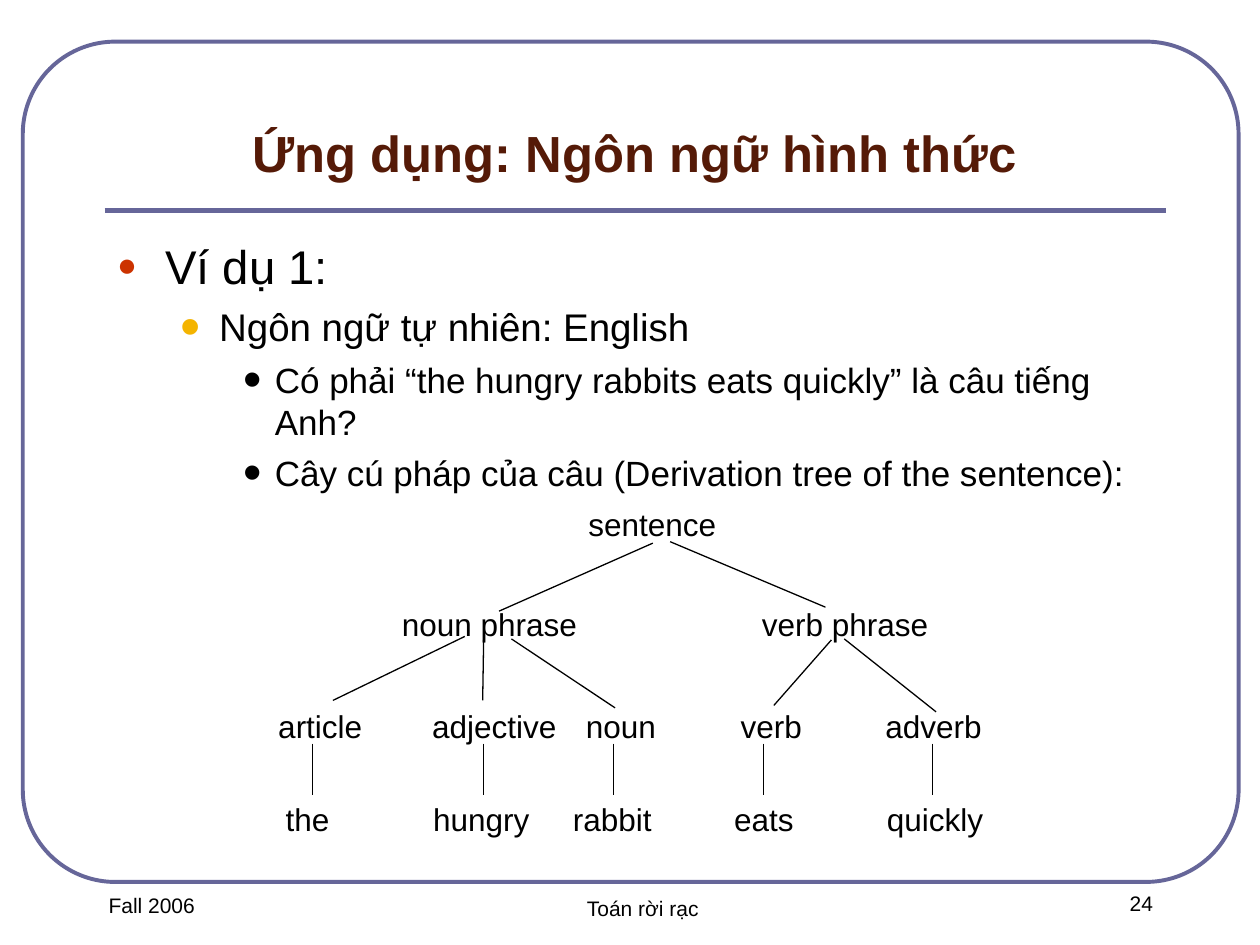
"""Build a slide that shows the derivation tree of an English sentence."""
from lxml import etree
from pptx import Presentation
from pptx.dml.color import RGBColor
from pptx.enum.shapes import MSO_CONNECTOR, MSO_SHAPE
from pptx.enum.text import MSO_ANCHOR, PP_ALIGN
from pptx.oxml.ns import qn
from pptx.util import Cm, Pt

LINE = MSO_CONNECTOR.STRAIGHT
ROUNDED = MSO_SHAPE.ROUNDED_RECTANGLE
TOP, BOTTOM = MSO_ANCHOR.TOP, MSO_ANCHOR.BOTTOM
LEFT, CENTER = PP_ALIGN.LEFT, PP_ALIGN.CENTER

BLACK = RGBColor(0x00, 0x00, 0x00)
SLATE = RGBColor(0x66, 0x66, 0x99)
BROWN = RGBColor(0x55, 0x1A, 0x07)
RED = RGBColor(0xCC, 0x33, 0x00)
AMBER = RGBColor(0xF4, 0xB4, 0x00)

TITLE_FONT = {"size": Pt(29), "bold": True}
FOOTER_FONT = {"size": Pt(12)}
LABEL_FONT = {"size": Pt(18)}

LEVELS = [
    {"size": 27, "before": 6.8, "margin": 0.97, "hang": 0.97,
     "char": "●", "color": RED, "percent": 70},
    {"size": 22, "before": 5.5, "margin": 2.06, "hang": 0.79,
     "char": "•", "color": AMBER, "percent": 150},
    {"size": 20, "before": 5, "margin": 3.18, "hang": 0.64,
     "char": "•", "color": BLACK, "percent": 150},
]
OUTLINE = [
    (0, "Ví dụ 1:"),
    (1, "Ngôn ngữ tự nhiên: English"),
    (2, "Có phải “the hungry rabbits eats quickly” là câu tiếng Anh?"),
    (2, "Cây cú pháp của câu (Derivation tree of the sentence):"),
]
FOOTERS = [
    ("Fall 2006", 0.2, 17.86, 5.72),
    ("Toán rời rạc", 6.65, 17.93, 12.62),
    ("24", 21.41, 17.83, 3.2),
]
TREE_ROWS = [
    (10.06, [("sentence", 11.61, 3.91)]),
    (12.07, [("noun phrase", 7.85, 4.29), ("verb phrase", 15.11, 4.29)]),
    (14.12, [("article", 5.36, 2.46), ("adjective", 8.46, 3.02),
             ("noun", 11.56, 2.18), ("verb", 14.68, 2.18),
             ("adverb", 17.6, 2.57)]),
    (16, [("the", 5.51, 2.46), ("hungry", 8.48, 2.46),
          ("rabbit", 11.3, 2.46), ("eats", 14.55, 2.46),
          ("quickly", 17.63, 2.46)]),
]
BRANCHES = [
    (13.16, 10.95, 10.06, 12.32),
    (13.51, 10.92, 16.64, 12.24),
    (9.37, 12.83, 6.71, 14.12),
    (9.75, 12.88, 9.73, 14.12),
    (10.31, 12.88, 12.4, 14.27),
    (16.76, 12.9, 15.6, 14.22),
    (17.02, 12.88, 18.87, 14.35),
]
STEMS = [6.3, 9.75, 12.37, 15.39, 18.8]


class Deck:
    """Hold the text style and the current slide."""

    def __init__(self, prs, font="Arial"):
        """Add a title-only slide to the presentation."""
        self.font = font
        self.slide = prs.slides.add_slide(prs.slide_layouts[5])

    def run(self, p, text, fmt, color=BLACK):
        """Add a formatted run to a paragraph."""
        r = p.add_run()
        r.text = text
        for name, value in {"name": self.font, **fmt}.items():
            setattr(r.font, name, value)
        r.font.color.rgb = color

    def frame(self, sp, anchor):
        """Set the wrap, insets and anchor of a shape's text."""
        tf = sp.text_frame
        fmt = {"word_wrap": True, "vertical_anchor": anchor,
               "margin_left": Cm(0.25), "margin_right": Cm(0.25),
               "margin_top": Cm(0.13), "margin_bottom": Cm(0.13)}
        for name, value in fmt.items():
            setattr(tf, name, value)
        return tf

    def title(self, text, x, y, w, h):
        """Place and fill the title placeholder."""
        sp = self.slide.shapes.title
        box = {"left": x, "top": y, "width": w, "height": h}
        for name, value in box.items():
            setattr(sp, name, Cm(value))
        p = self.frame(sp, BOTTOM).paragraphs[0]
        p.alignment = CENTER
        self.run(p, text, TITLE_FONT, BROWN)

    def textbox(self, x, y, w, h):
        """Add an empty text box and return its text frame."""
        sp = self.slide.shapes.add_textbox(Cm(x), Cm(y), Cm(w), Cm(h))
        return self.frame(sp, TOP)

    def label(self, text, x, y, w, h, fmt, align=LEFT):
        """Add a text box with one line of text."""
        p = self.textbox(x, y, w, h).paragraphs[0]
        p.alignment = align
        self.run(p, text, fmt)

    def bullet(self, p, style):
        """Give a paragraph a hanging bullet."""
        pPr = p._p.get_or_add_pPr()
        pPr.set("marL", str(Cm(style["margin"])))
        pPr.set("indent", str(-Cm(style["hang"])))
        color = etree.SubElement(pPr, qn("a:buClr"))
        etree.SubElement(color, qn("a:srgbClr"), val=str(style["color"]))
        percent = str(style["percent"] * 1000)
        etree.SubElement(pPr, qn("a:buSzPct"), val=percent)
        etree.SubElement(pPr, qn("a:buFont"), typeface=self.font)
        etree.SubElement(pPr, qn("a:buChar"), char=style["char"])

    def outline(self, items, x, y, w, h):
        """Add a bulleted list with levels."""
        tf = self.textbox(x, y, w, h)
        for i, (level, text) in enumerate(items):
            p = tf.add_paragraph() if i else tf.paragraphs[0]
            style = LEVELS[level]
            p.level = level
            self.bullet(p, style)
            p.space_before = Pt(style["before"] if i else 0)
            self.run(p, text, {"size": Pt(style["size"])})

    def border(self, x, y, w, h):
        """Add the rounded border of the slide."""
        sp = self.slide.shapes.add_shape(ROUNDED, Cm(x), Cm(y), Cm(w), Cm(h))
        sp.adjustments[0] = 0.11
        sp.shadow.inherit = False
        sp.fill.background()
        sp.line.color.rgb = SLATE
        sp.line.width = Pt(2.25)

    def line(self, x1, y1, x2, y2, color=BLACK, width=0.75):
        """Add a straight line."""
        ends = [Cm(v) for v in (x1, y1, x2, y2)]
        sp = self.slide.shapes.add_connector(LINE, *ends)
        sp.line.color.rgb = color
        sp.line.width = Pt(width)
        etree.SubElement(sp._element.spPr, qn("a:effectLst"))


def main():
    """Build and save the slide."""
    prs = Presentation()
    prs.slide_width, prs.slide_height = Cm(25.4), Cm(19.05)
    deck = Deck(prs)
    deck.border(0.46, 0.84, 24.51, 16.94)
    deck.line(2.11, 4.24, 23.5, 4.24, SLATE, 3)
    for text, x, y, w in FOOTERS:
        deck.label(text, x, y, w, 1.27, FOOTER_FONT, CENTER)
    deck.title("Ứng dụng: Ngôn ngữ hình thức", 2.11, 1.07, 21.39, 2.74)
    deck.outline(OUTLINE, 2.11, 4.65, 21.39, 12.5)
    for y, labels in TREE_ROWS:
        for text, x, w in labels:
            deck.label(text, x, y, w, 1.02, LABEL_FONT)
    for branch in BRANCHES:
        deck.line(*branch)
    for x in STEMS:
        deck.line(x, 14.99, x, 16.03)
    prs.save("out.pptx")


if __name__ == "__main__":
    main()
